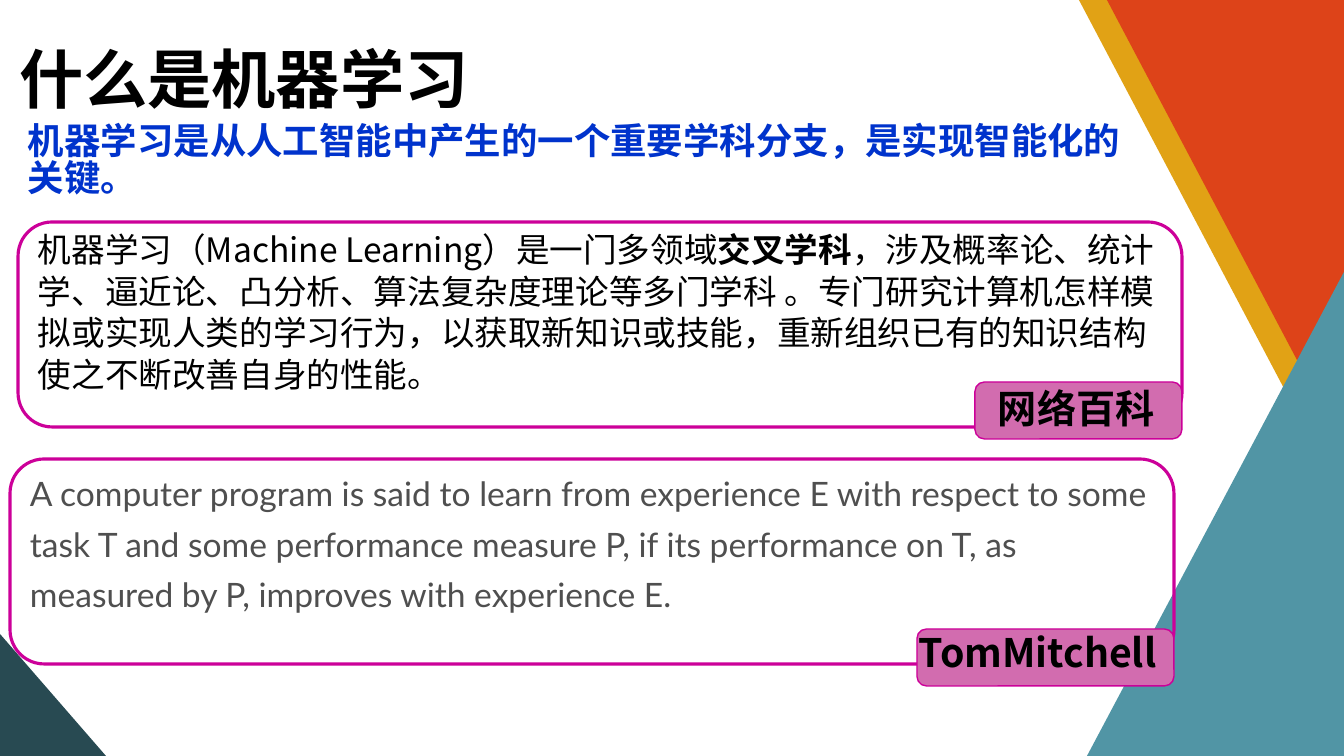
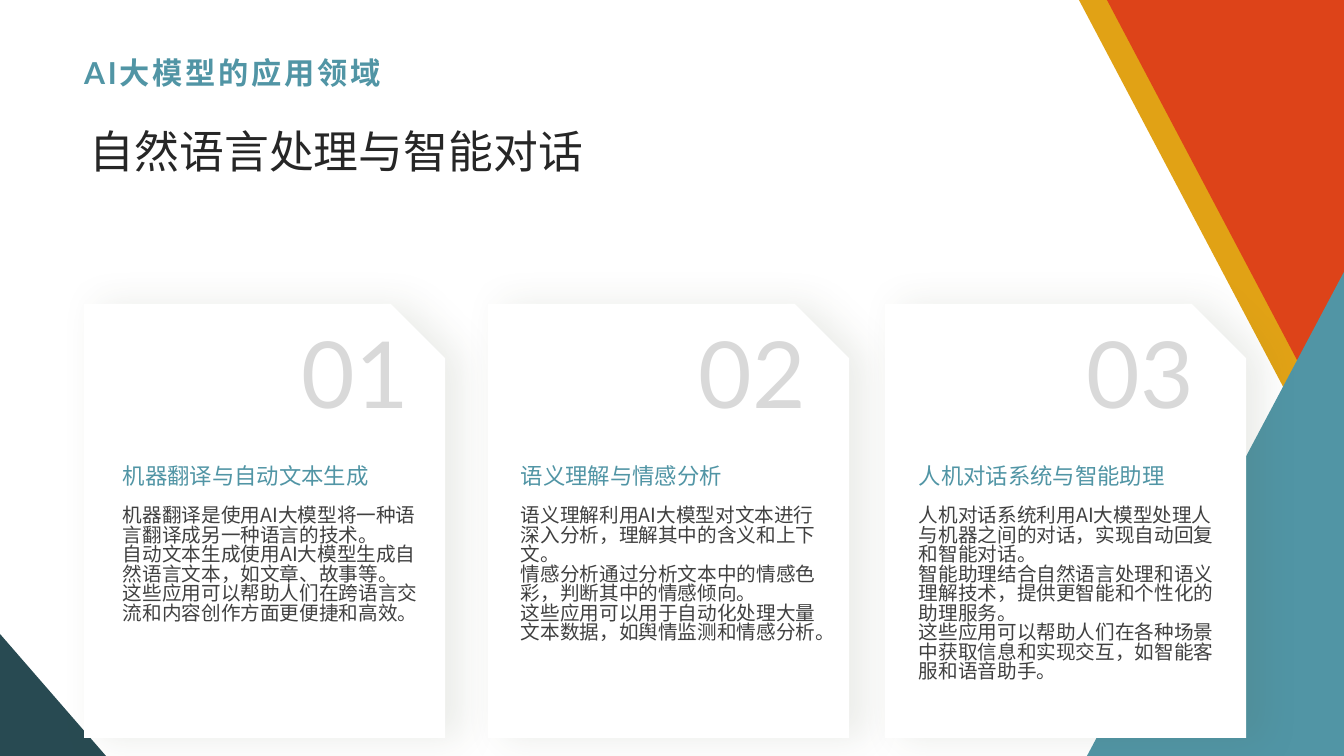
from lxml.etree import SubElement
from pptx import Presentation
from pptx.dml.color import RGBColor
from pptx.enum.shapes import MSO_SHAPE as SHAPE
from pptx.enum.text import MSO_ANCHOR as ANCHOR, MSO_AUTO_SIZE as AUTO, PP_ALIGN as ALIGN
from pptx.oxml.ns import qn
from pptx.util import Pt

PX = 914400 / 100.8
TITLE_ONLY = 5
CJK, LATO = "Noto Sans CJK SC", "Lato"
TIGHT, LOOSE = 0.83, 1.04

BLACK = RGBColor(0x00, 0x00, 0x00)
WHITE = RGBColor(0xFF, 0xFF, 0xFF)
AMBER = RGBColor(0xE1, 0xA2, 0x15)
ORANGE = RGBColor(0xDD, 0x43, 0x19)
TEAL = RGBColor(0x51, 0x95, 0xA5)
DARK_TEAL = RGBColor(0x28, 0x4A, 0x52)
BLUE = RGBColor(0x00, 0x33, 0xCC)
MAGENTA = RGBColor(0xCC, 0x00, 0x99)
PINK = RGBColor(0xD2, 0x6C, 0xAF)
INK = RGBColor(0x26, 0x26, 0x26)
BODY = RGBColor(0x40, 0x40, 0x40)
QUOTE = RGBColor(0x4F, 0x4F, 0x4F)
PALE = RGBColor(0xD9, 0xD9, 0xD9)
SHADOW = RGBColor(0x46, 0x53, 0x34)

BANDS = [
    (AMBER, [(1316, 449), (1316, 0), (1079, 0)]),
    (ORANGE, [(1344, 449), (1344, 0), (1107, 0)]),
    (TEAL, [(1344, 272), (1344, 756), (1087, 756)]),
    (DARK_TEAL, [(0, 634), (0, 756), (106, 756)]),
]

# card left, number left, heading, body paragraphs
CARDS = [
    (84, 292, "机器翻译与自动文本生成", [
        "机器翻译是使用AI大模型将一种语言翻译成另一种语言的技术。",
        "自动文本生成使用AI大模型生成自然语言文本，如文章、故事等。",
        "这些应用可以帮助人们在跨语言交流和内容创作方面更便捷和高效。"]),
    (488, 689, "语义理解与情感分析", [
        "语义理解利用AI大模型对文本进行深入分析，理解其中的含义和上下文。",
        "情感分析通过分析文本中的情感色彩，判断其中的情感倾向。",
        "这些应用可以用于自动化处理大量文本数据，如舆情监测和情感分析。"]),
    (885, 1077, "人机对话系统与智能助理", [
        "人机对话系统利用AI大模型处理人与机器之间的对话，实现自动回复和智能对话。",
        "智能助理结合自然语言处理和语义理解技术，提供更智能和个性化的助理服务。",
        "这些应用可以帮助人们在各种场景中获取信息和实现交互，如智能客服和语音助手。"]),
]


def px(*lengths):
    return [round(n * PX) for n in lengths]


class Deck:
    def __init__(self):
        self.prs = Presentation()
        self.prs.slide_width, self.prs.slide_height = px(1344, 756)
        self.s = None

    def slide(self):
        """Start a slide with the corner bands."""
        self.s = self.prs.slides.add_slide(self.prs.slide_layouts[TITLE_ONLY])
        for color, points in BANDS:
            builder = self.s.shapes.build_freeform(*points[0], scale=PX)
            builder.add_line_segments(points[1:], close=True)
            self.paint(builder.convert_to_shape(), color)

    def paint(self, sp, fill=None, line=None, width=1):
        sp.shadow.inherit = False
        if fill is None:
            sp.fill.background()
        else:
            sp.fill.solid()
            sp.fill.fore_color.rgb = fill
        if line is None:
            sp.line.fill.background()
        else:
            sp.line.color.rgb = line
            sp.line.width = Pt(width)

    def fill_frame(self, tf, paragraphs, size, color, font=CJK, bold=False,
                   spacing=1, anchor=ANCHOR.TOP, tracking=0):
        """Fill a frame; a paragraph is a string or a list of (text, bold) runs."""
        tf.word_wrap = True
        tf.auto_size = AUTO.NONE
        tf.vertical_anchor = anchor
        for i, runs in enumerate(paragraphs):
            p = tf.add_paragraph() if i else tf.paragraphs[0]
            p.alignment = ALIGN.LEFT
            p.line_spacing = spacing
            for text, strong in [(runs, bold)] if isinstance(runs, str) else runs:
                r = p.add_run()
                r.text = text
                r.font.size = Pt(size)
                r.font.bold = strong
                r.font.color.rgb = color
                r.font.name = font
                r_pr = r.font._element
                SubElement(r_pr, qn("a:ea")).set("typeface", CJK)
                if tracking:
                    r_pr.set("spc", str(tracking * 100))

    def title(self, box, text, size, color, **style):
        sp = self.s.shapes.title
        sp.left, sp.top, sp.width, sp.height = px(*box)
        self.fill_frame(sp.text_frame, [text], size, color, bold=True,
                        anchor=ANCHOR.MIDDLE, **style)

    def text(self, box, paragraphs, size, color, **style):
        tf = self.s.shapes.add_textbox(*px(*box)).text_frame
        self.fill_frame(tf, paragraphs, size, color, **style)

    def frame(self, x, y):
        sp = self.s.shapes.add_shape(SHAPE.ROUNDED_RECTANGLE, *px(x, y, 1164, 205))
        self.paint(sp, line=MAGENTA, width=2.25)

    def tag(self, box, text, text_x, text_y):
        """Name the source of a definition on a pink plate."""
        sp = self.s.shapes.add_shape(SHAPE.ROUNDED_RECTANGLE, *px(*box))
        self.paint(sp, PINK, MAGENTA)
        self.text((text_x, text_y, 330, 57), [text], 28, BLACK, bold=True,
                  spacing=TIGHT)

    def card(self, x):
        sp = self.s.shapes.add_shape(SHAPE.SNIP_1_RECTANGLE, *px(x, 304, 361, 434))
        sp.adjustments[0] = 0.15
        self.paint(sp, WHITE)
        effects = sp._element.spPr.find(qn("a:effectLst"))
        shadow = SubElement(effects, qn("a:outerShdw"), blurRad=str(int(Pt(27))),
                            dist=str(int(Pt(11))), dir="0", algn="l", rotWithShape="0")
        color = SubElement(shadow, qn("a:srgbClr"), val=str(SHADOW))
        SubElement(color, qn("a:alpha"), val="11000")


def definition_slide(deck):
    deck.slide()
    deck.title((9, 11, 508, 134), "什么是机器学习", 45.9, BLACK)
    deck.text((18, 121, 1146, 99),
              ["机器学习是从人工智能中产生的一个重要学科分支，是实现智能化的关键。"],
              26, BLUE, bold=True, spacing=TIGHT)
    deck.text((28, 222, 1154, 214), [[
        ("机器学习（Machine Learning）是一门多领域", False),
        ("交叉学科", True),
        ("，涉及概率论、统计学、逼近论、凸分析、算法复杂度理论等多门学科 。"
         "专门研究计算机怎样模拟或实现人类的学习行为，以获取新知识或技能，"
         "重新组织已有的知识结构使之不断改善自身的性能。", False),
    ]], 24, BLACK, spacing=LOOSE)
    deck.frame(18, 222)
    deck.tag((975, 382, 207, 57), "网络百科", 988, 387)
    deck.text((20, 458, 1154, 159), [
        "A computer program is said to learn from experience E with respect to some "
        "task T and some performance measure P, if its performance on T, as measured "
        "by P, improves with experience E."], 24, QUOTE, font=LATO, spacing=1.25)
    deck.frame(10, 459)
    deck.tag((917, 629, 257, 57), "TomMitchell", 909, 631)


def application_slide(deck):
    deck.slide()
    deck.title((74, 48, 1196, 48), "AI大模型的应用领域", 21.6, TEAL,
               font=LATO, tracking=2)
    for i, (card_x, number_x, heading, body) in enumerate(CARDS):
        text_x = 113 + 398 * i
        deck.card(card_x)
        deck.text((number_x, 311, 151, 112), [f"{i + 1:02}"], 66, PALE, font=LATO)
        deck.text((text_x, 393, 288, 101), [heading], 16, TEAL, anchor=ANCHOR.BOTTOM)
        deck.text((text_x, 502, 318, 175), body, 14, BODY, spacing=TIGHT)
    deck.text((80, 127, 1165, 48), ["自然语言处理与智能对话"], 32, INK,
              anchor=ANCHOR.MIDDLE)


def main():
    deck = Deck()
    definition_slide(deck)
    application_slide(deck)
    deck.prs.save("out.pptx")


if __name__ == "__main__":
    main()
